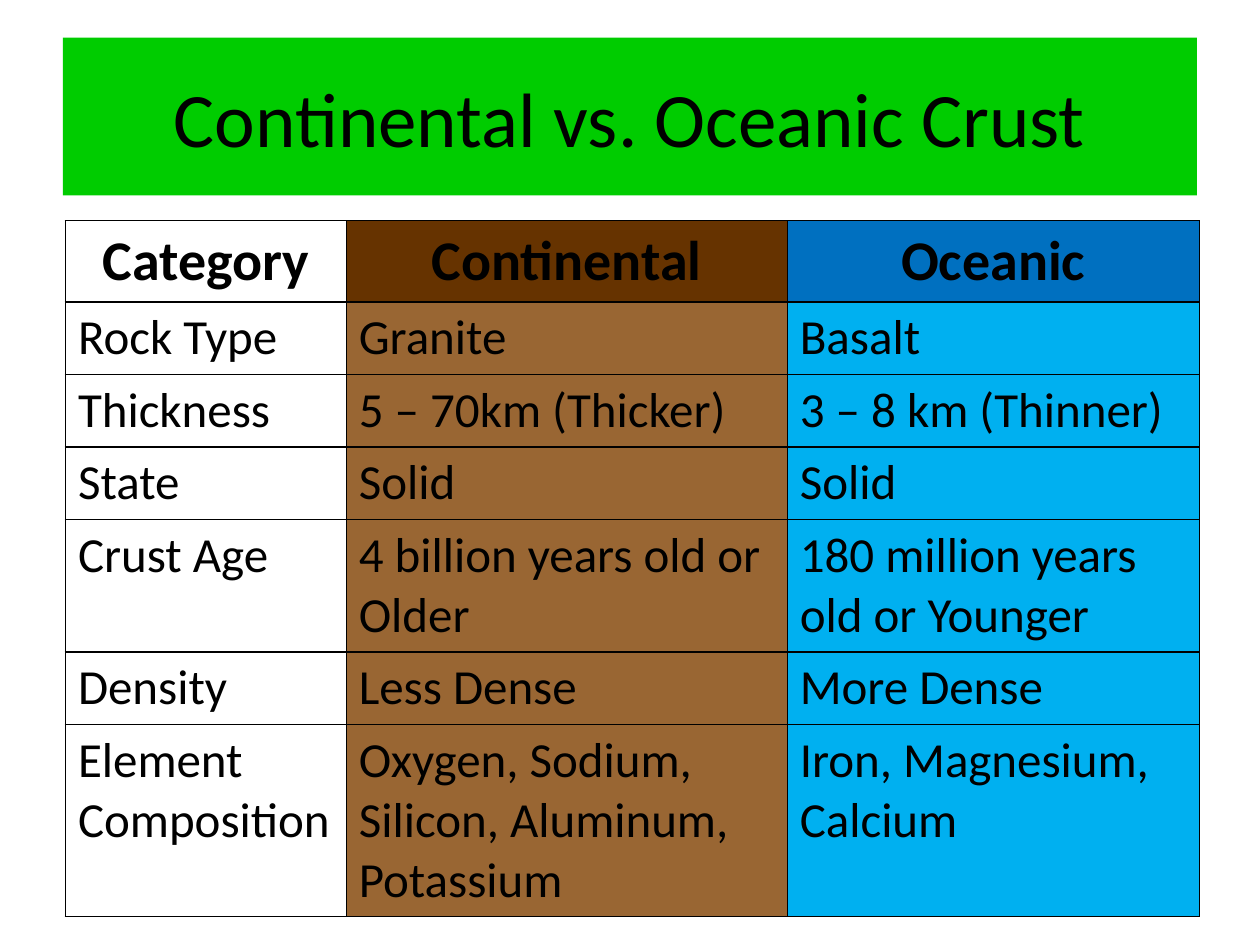
"""Build a slide that compares continental and oceanic crust in a table."""
from dataclasses import dataclass

import lxml.etree
import pptx
import pptx.dml.color
import pptx.enum.shapes
import pptx.enum.text
import pptx.oxml.ns
import pptx.util

Cm = pptx.util.Cm
Pt = pptx.util.Pt
Align = pptx.enum.text.PP_ALIGN
INK = "000000"


@dataclass
class Column:
    width: float
    head: str | None
    body: str | None
    texts: tuple[str, ...]


COLUMNS = (
    Column(5.66, None, None, (
        "Category", "Rock Type", "Thickness", "State", "Crust Age",
        "Density", "Element Composition")),
    Column(8.89, "663300", "996633", (
        "Continental", "Granite", "5 – 70km (Thicker)", "Solid",
        "4 billion years old or Older", "Less Dense",
        "Oxygen, Sodium, Silicon, Aluminum, Potassium")),
    Column(8.31, "0070C0", "00B0F0", (
        "Oceanic", "Basalt", "3 – 8 km (Thinner)", "Solid",
        "180 million years old or Younger", "More Dense",
        "Iron, Magnesium, Calcium")),
)


def paint(fill, shade: str | None) -> None:
    if shade is None:
        fill.background()
    else:
        fill.solid()
        fill.fore_color.rgb = pptx.dml.color.RGBColor.from_string(shade)


def write(frame, text: str, size: int, align, bold: bool = False) -> None:
    frame.text = text
    para = frame.paragraphs[0]
    para.alignment = align
    para.font.name = "Calibri"
    para.font.size = Pt(size)
    para.font.bold = bold
    paint(para.font.fill, INK)


def border(cell) -> None:
    qn = pptx.oxml.ns.qn
    props = cell._tc.get_or_add_tcPr()
    for place, side in enumerate(("lnL", "lnR", "lnT", "lnB")):
        line = lxml.etree.Element(qn(f"a:{side}"), w=str(Pt(1)))
        fill = lxml.etree.SubElement(line, qn("a:solidFill"))
        lxml.etree.SubElement(fill, qn("a:srgbClr"), val=INK)
        props.insert(place, line)


def add_title(slide, text: str) -> None:
    box = slide.shapes.add_shape(
        pptx.enum.shapes.MSO_SHAPE.RECTANGLE,
        Cm(1.27), Cm(0.76), Cm(22.86), Cm(3.18))
    box.shadow.inherit = False
    paint(box.fill, "00CC00")
    box.line.fill.background()
    box.text_frame.word_wrap = True
    box.text_frame.vertical_anchor = pptx.enum.text.MSO_ANCHOR.MIDDLE
    write(box.text_frame, text, 44, Align.CENTER)


def add_grid(slide, columns: tuple[Column, ...]) -> None:
    count = len(columns[0].texts)
    frame = slide.shapes.add_table(
        count, len(columns), Cm(1.32), Cm(4.45), Cm(22.86), Cm(13.79))
    table = frame.table
    table.first_row = table.horz_banding = False
    for row in table.rows:
        row.height = Cm(1.04)
    frame.height = Cm(13.79)
    for x, column in enumerate(columns):
        table.columns[x].width = Cm(column.width)
        for y, text in enumerate(column.texts):
            cell = table.cell(y, x)
            if y == 0:
                paint(cell.fill, column.head)
                write(cell.text_frame, text, 32, Align.CENTER, True)
            else:
                paint(cell.fill, column.body)
                write(cell.text_frame, text, 28, Align.LEFT)
            border(cell)


def main() -> None:
    deck = pptx.Presentation()
    deck.slide_width, deck.slide_height = Cm(25.4), Cm(19.05)
    slide = deck.slides.add_slide(deck.slide_layouts[6])
    add_title(slide, "Continental vs. Oceanic Crust")
    add_grid(slide, COLUMNS)
    deck.save("out.pptx")


if __name__ == "__main__":
    main()
